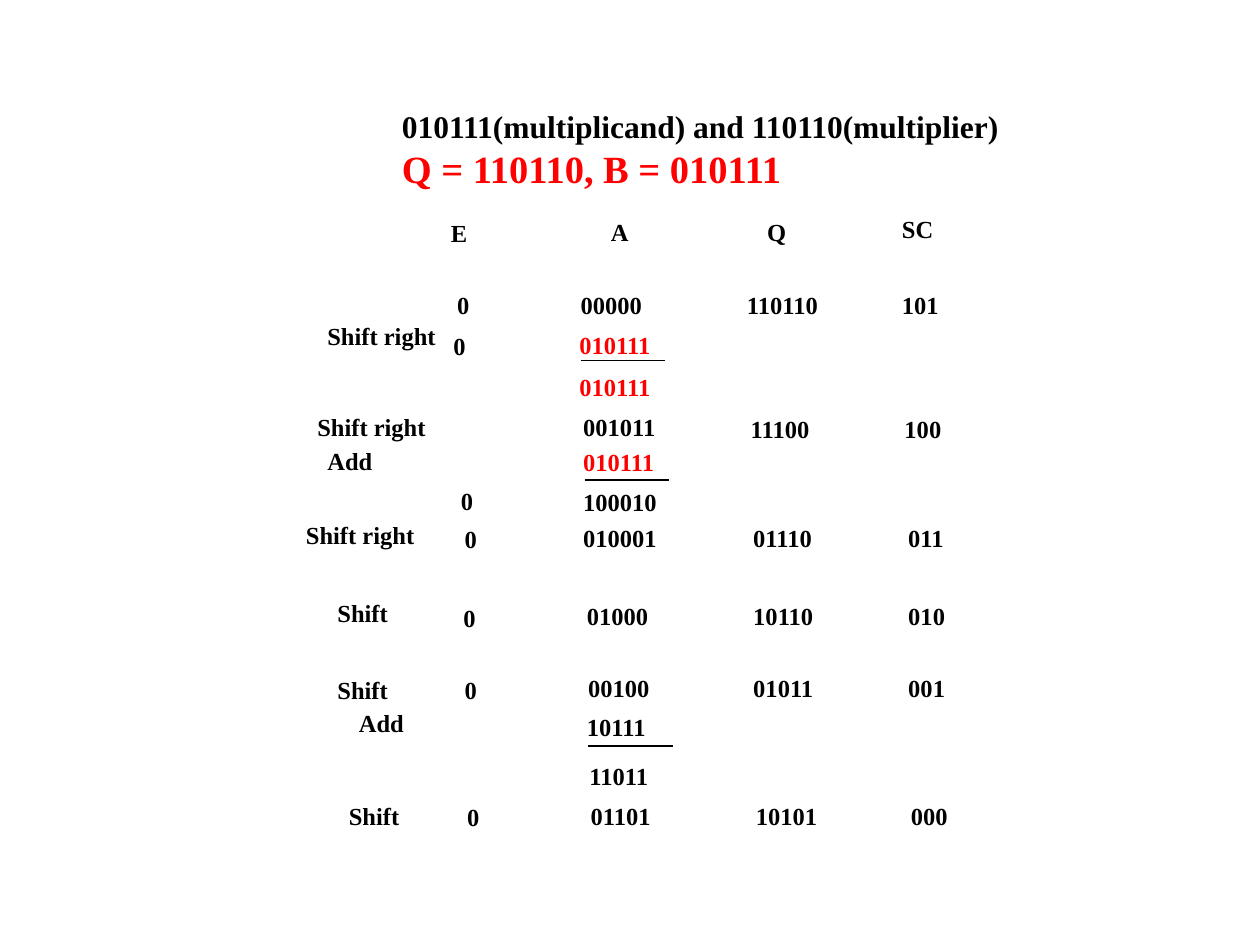
from typing import NamedTuple

from lxml.etree import SubElement
from pptx import Presentation
from pptx.dml.color import RGBColor
from pptx.enum.shapes import MSO_CONNECTOR
from pptx.enum.text import MSO_ANCHOR, MSO_AUTO_SIZE, PP_ALIGN
from pptx.oxml.ns import qn
from pptx.slide import Slide
from pptx.text.text import _Paragraph
from pptx.util import Inches, Pt

BLACK = RGBColor(0, 0, 0)
RED = RGBColor(255, 0, 0)
FACE = "Times New Roman"
HIGH = 0.34
RULE = 0.67
DIGIT = 0.097
PAD = 0.2
WIDTHS = {"E": 0.33, "A": 0.34, "Q": 0.35, "SC": 0.45,
          "Add": 0.56, "Shift": 0.6, "Shift right": 1.06}


class Cell(NamedTuple):
    text: str
    left: float
    top: float
    color: RGBColor = BLACK


class Rule(NamedTuple):
    left: float
    top: float


HEADS = [Cell("E", 3.48, 1.68), Cell("A", 4.75, 1.67),
         Cell("Q", 5.99, 1.67), Cell("SC", 7.06, 1.65)]

STEPS = [
    Cell("Shift right", 2.5, 2.5),
    Cell("Shift right", 2.42, 3.22),
    Cell("Add", 2.5, 3.49),
    Cell("Shift right", 2.33, 4.08),
    Cell("Shift", 2.58, 4.7),
    Cell("Shift", 2.58, 5.31),
    Cell("Add", 2.75, 5.57),
    Cell("Shift", 2.67, 6.31),
]

CARRY = [Cell("0", left, top) for left, top in (
    (3.53, 2.25), (3.5, 2.58), (3.56, 3.81), (3.59, 4.11),
    (3.58, 4.74), (3.59, 5.31), (3.61, 6.32))]

SUMS = [
    Cell("00000", 4.51, 2.25),
    Cell("010111", 4.5, 2.57, RED),
    Cell("010111", 4.5, 2.9, RED),
    Cell("001011", 4.53, 3.22),
    Cell("010111", 4.53, 3.5, RED),
    Cell("100010", 4.53, 3.82),
    Cell("010001", 4.53, 4.1),
    Cell("01000", 4.56, 4.72),
    Cell("00100", 4.57, 5.29),
    Cell("10111", 4.56, 5.6),
    Cell("11011", 4.58, 5.99),
    Cell("01101", 4.59, 6.31),
]

FACTORS = [
    Cell("110110", 5.83, 2.25),
    Cell("11100", 5.86, 3.24),
    Cell("01110", 5.88, 4.1),
    Cell("10110", 5.88, 4.72),
    Cell("01011", 5.88, 5.29),
    Cell("10101", 5.9, 6.31),
]

COUNTS = [
    Cell("101", 7.06, 2.25),
    Cell("100", 7.08, 3.24),
    Cell("011", 7.11, 4.1),
    Cell("010", 7.11, 4.72),
    Cell("001", 7.11, 5.29),
    Cell("000", 7.13, 6.31),
]

RULES = [Rule(4.61, 2.86), Rule(4.64, 3.81), Rule(4.67, 5.92)]


def style(para: _Paragraph, size: int, color: RGBColor) -> None:
    para.alignment = PP_ALIGN.LEFT
    for run in para.runs:
        run.font.name = FACE
        run.font.size = Pt(size)
        run.font.bold = True
        run.font.color.rgb = color


def draw_title(slide: Slide) -> None:
    title = slide.shapes.title
    title.left, title.top = Inches(3.09), Inches(0.8)
    title.width, title.height = Inches(5.05), Inches(0.77)
    frame = title.text_frame
    frame.text = "010111(multiplicand) and 110110(multiplier)\nQ = 110110, B = 010111"
    frame.word_wrap = False
    frame.auto_size = MSO_AUTO_SIZE.NONE
    frame.vertical_anchor = MSO_ANCHOR.TOP
    for para, size, color in zip(frame.paragraphs, (18, 22), (BLACK, RED)):
        style(para, size, color)


def draw_cell(slide: Slide, cell: Cell) -> None:
    width = WIDTHS.get(cell.text, PAD + DIGIT * len(cell.text))
    box = slide.shapes.add_textbox(
        Inches(cell.left), Inches(cell.top), Inches(width), Inches(HIGH))
    frame = box.text_frame
    frame.text = cell.text
    frame.word_wrap = False
    frame.auto_size = MSO_AUTO_SIZE.SHAPE_TO_FIT_TEXT
    style(frame.paragraphs[0], 14, cell.color)


def draw_rule(slide: Slide, rule: Rule) -> None:
    top = Inches(rule.top)
    line = slide.shapes.add_connector(
        MSO_CONNECTOR.STRAIGHT, Inches(rule.left), top,
        Inches(rule.left + RULE), top)
    line.line.color.rgb = BLACK
    line.line.width = Pt(0.75)
    SubElement(line._element.spPr, qn("a:effectLst"))


def main() -> None:
    deck = Presentation()
    deck.slide_width, deck.slide_height = Inches(10), Inches(7.5)
    slide = deck.slides.add_slide(deck.slide_layouts[5])
    draw_title(slide)
    for group in (HEADS, STEPS, CARRY, SUMS, FACTORS, COUNTS):
        for cell in group:
            draw_cell(slide, cell)
    for rule in RULES:
        draw_rule(slide, rule)
    deck.save("out.pptx")


if __name__ == "__main__":
    main()
